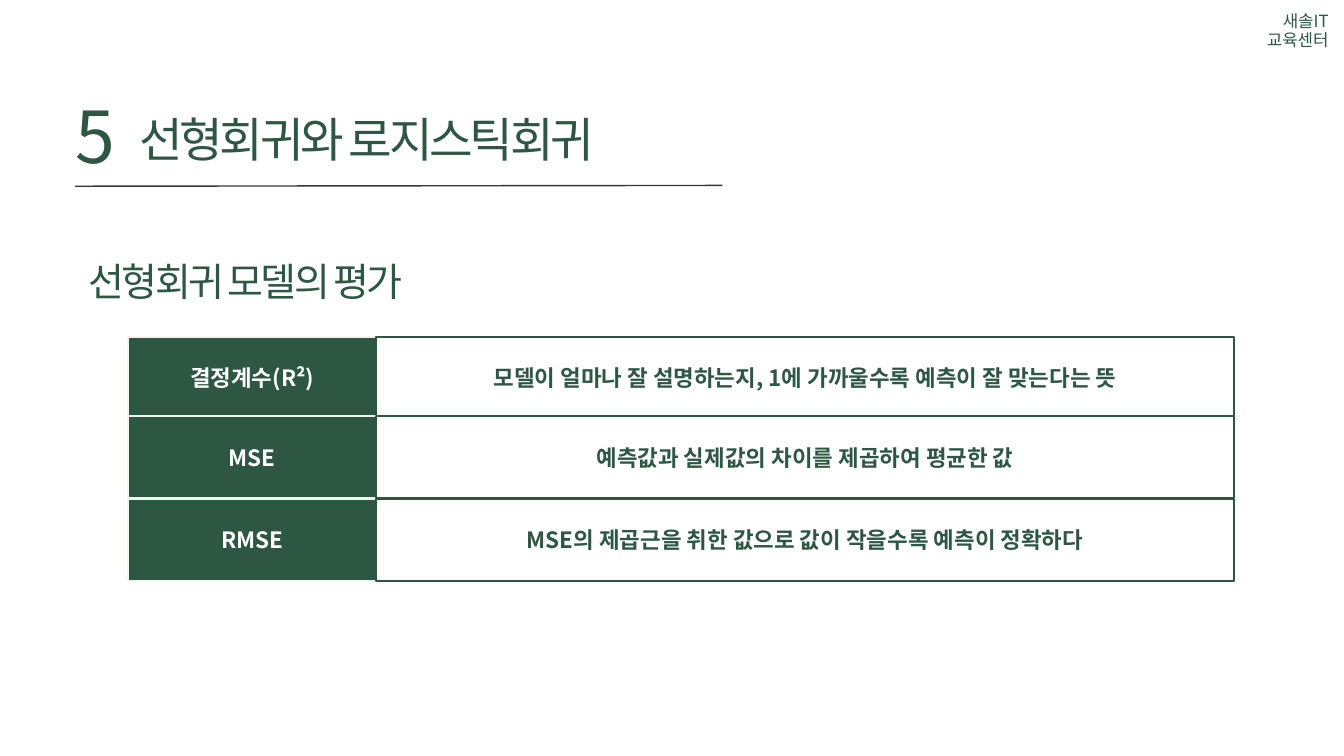
from lxml.etree import SubElement
from pptx import Presentation
from pptx.dml.color import RGBColor
from pptx.enum.shapes import MSO_CONNECTOR, MSO_SHAPE
from pptx.enum.text import MSO_ANCHOR as Anchor, MSO_AUTO_SIZE as AutoSize, PP_ALIGN as Align
from pptx.oxml.ns import qn
from pptx.util import Cm, Pt

GREEN = RGBColor(0x2E, 0x57, 0x43)
WHITE = RGBColor(0xFF, 0xFF, 0xFF)
CREAM = RGBColor(0xF7, 0xF3, 0xEF)
CHARCOAL = RGBColor(0x37, 0x37, 0x37)
FONT = "Noto Sans CJK KR"


def write(shape, text, size, color=GREEN, bold=False, align=Align.LEFT,
          anchor=Anchor.TOP, line_spacing=None, tracking=0):
    """Fill the shape with one formatted paragraph; tracking is in points."""
    frame = shape.text_frame
    frame.text = text
    frame.word_wrap = True
    frame.auto_size = AutoSize.NONE
    frame.vertical_anchor = anchor
    paragraph = frame.paragraphs[0]
    paragraph.alignment = align
    paragraph.line_spacing = line_spacing
    for run in paragraph.runs:
        for name, value in {"size": Pt(size), "bold": bold, "name": FONT}.items():
            setattr(run.font, name, value)
        run.font.color.rgb = color
        properties = run.font._element
        properties.set("spc", str(round(tracking * 100)))
        SubElement(properties, qn("a:ea"), typeface=FONT)


def place(shape, left, top, width, height):
    """Position a heading in centimetres and remove its text margins."""
    shape.left, shape.top, shape.width, shape.height = map(Cm, (left, top, width, height))
    for side in ("left", "top", "right", "bottom"):
        setattr(shape.text_frame, f"margin_{side}", 0)


prs = Presentation()
prs.slide_width, prs.slide_height = Cm(50.8), Cm(28.58)
slide = prs.slides.add_slide(prs.slide_layouts[5])
shapes = slide.shapes

# Heading
title = shapes.title
place(title, 5.26, 3.81, 20.14, 2.34)
write(title, "선형회귀와 로지스틱회귀", 50.8, line_spacing=Pt(71.1), tracking=-3.4)

chapter_number = shapes.add_textbox(0, 0, 0, 0)
place(chapter_number, 2.84, 2.95, 2, 3.5)
write(chapter_number, "5", 76.8, line_spacing=Pt(107.5), tracking=-5.1)

subtitle = shapes.add_textbox(0, 0, 0, 0)
place(subtitle, 3.35, 9.45, 24.46, 1.98)
write(subtitle, "선형회귀 모델의 평가", 41.8, line_spacing=Pt(58.5), tracking=-2.8)

center_name = shapes.add_textbox(Cm(45.59), Cm(0.38), Cm(4.88), Cm(1.02))
write(center_name, "새솔IT\v교육센터", 18, align=Align.RIGHT, line_spacing=0.9)

underline = shapes.add_connector(MSO_CONNECTOR.STRAIGHT, Cm(2.84), Cm(7.04), Cm(27.3), Cm(7.01))
underline.line.color.rgb = CHARCOAL
underline.line.width = Pt(1.5)
SubElement(underline._element.spPr, qn("a:effectLst"))

# Evaluation measures: name on the left, meaning on the right
measures = [
    (12.73, "결정계수(R²)", "모델이 얼마나 잘 설명하는지, 1에 가까울수록 예측이 잘 맞는다는 뜻"),
    (15.72, "MSE", "예측값과 실제값의 차이를 제곱하여 평균한 값"),
    (18.85, "RMSE", "MSE의 제곱근을 취한 값으로 값이 작을수록 예측이 정확하다"),
]
columns = [
    (4.85, 9.37, GREEN, CREAM, WHITE),
    (14.22, 32.41, WHITE, GREEN, GREEN),
]
for top, *texts in measures:
    for (left, width, fill, border, ink), text in zip(columns, texts):
        cell = shapes.add_shape(MSO_SHAPE.RECTANGLE, Cm(left), Cm(top), Cm(width), Cm(3.12))
        cell.shadow.inherit = False
        cell.fill.solid()
        cell.fill.fore_color.rgb = fill
        cell.line.color.rgb = border
        cell.line.width = Pt(2)
        write(cell, text, 24, ink, bold=True, align=Align.CENTER, anchor=Anchor.MIDDLE)

prs.save("out.pptx")
